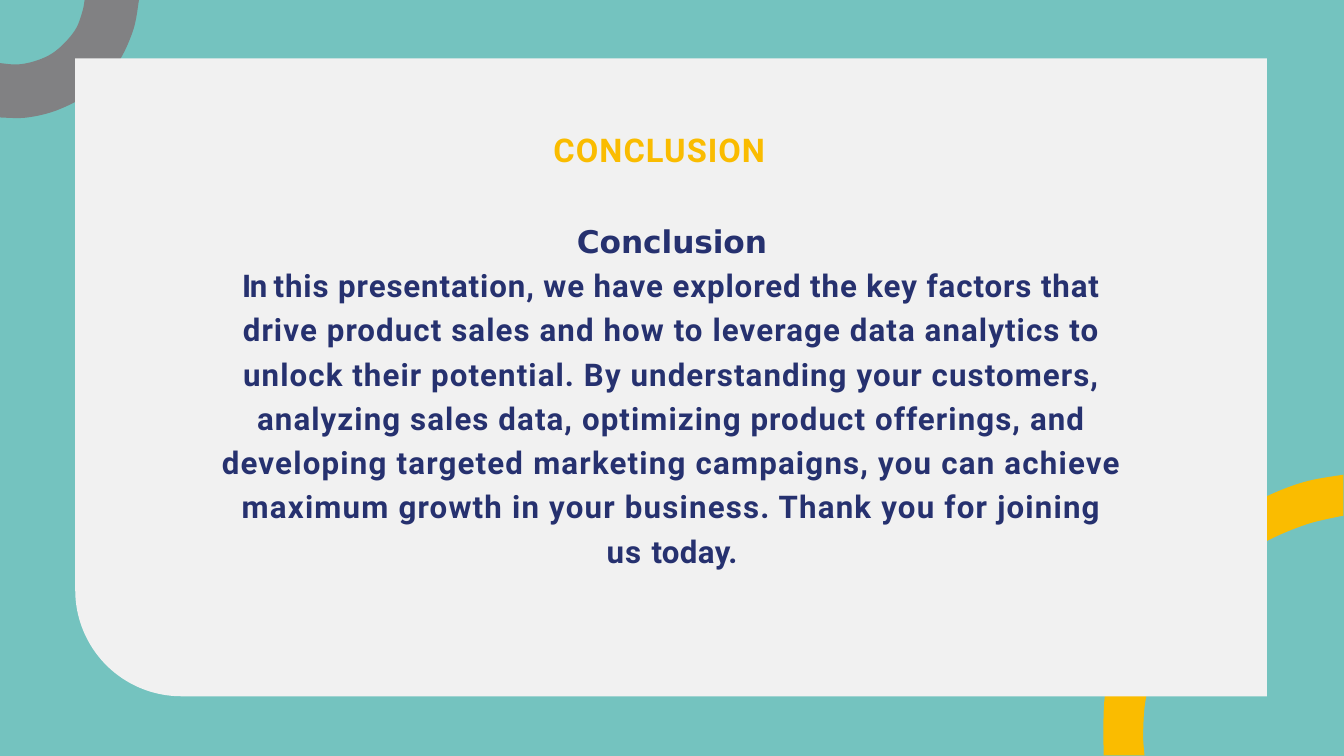
from pptx import Presentation
from pptx import util as u
from pptx.dml.color import RGBColor
from pptx.enum import shapes, text

PX = 9144  # EMU per px, 100 px to the inch
TEAL, GRAY, YELLOW, PANEL, NAVY = "74C3BF", "818183", "FABC00", "F1F1F1", "26316F"

YELLOW_OUTER = [(1643, 1125), (1645, 1036), (1664, 965), (1701, 893), (1749, 833),
                (1810, 781), (1880, 742), (1941, 718), (2000, 707)]
YELLOW_INNER = [(2000, 768), (1945, 781), (1884, 807), (1825, 845), (1775, 894),
                (1735, 955), (1708, 1031), (1702, 1089), (1704, 1125)]
GRAY_OUTER = [(207, 0), (198, 46), (174, 96), (135, 137), (88, 163), (41, 175), (0, 175)]
GRAY_INNER = [(0, 94), (26, 96), (52, 91), (77, 80), (98, 62), (114, 41), (123, 16), (126, 0)]

# Each phrase with its letter spacing in points
SUMMARY = [
    ("In ", -1.6),
    ("this presentation, we have explored the key factors that ", 1),
    ("drive product sales and how to leverage data analytics to ", 1.2),
    ("unlock their potential. By understanding your customers, ", 1.2),
    ("analyzing sales data, optimizing product offerings, and ", 1.2),
    ("developing targeted marketing campaigns, you can achieve ", 1.3),
    ("maximum growth in your business. Thank you for joining us ", 1.3),
    ("today.", 0.4),
]


def color(value):
    return RGBColor.from_string(value)


def paint(shape, fill):
    shape.shadow.inherit = False
    shape.fill.solid()
    shape.fill.fore_color.rgb = color(fill)
    shape.line.fill.background()


def smooth(points, steps=8):
    """Return EMU points of a Catmull-Rom curve through the px points."""
    padded = [points[0], *points, points[-1]]
    curve = []
    for a, b, c, d in zip(padded, padded[1:], padded[2:], padded[3:]):
        for step in range(steps):
            t = step / steps
            curve.append(tuple(
                PX / 2 * (2 * q + (r - p) * t + (2 * p - 5 * q + 4 * r - s) * t ** 2
                          + (3 * q - p - 3 * r + s) * t ** 3)
                for p, q, r, s in zip(a, b, c, d)))
    return curve + [tuple(PX * v for v in points[-1])]


def add_ring(slide, outer, inner, fill):
    outline = smooth(outer) + smooth(inner)
    builder = slide.shapes.build_freeform(*outline[0])
    builder.add_line_segments(outline[1:], close=True)
    paint(builder.convert_to_shape(), fill)


def add_panel(slide, left, top, width, height, radius):
    panel = slide.shapes.add_shape(
        shapes.MSO_SHAPE.ROUND_1_RECTANGLE, *(PX * v for v in (left, top, width, height)))
    panel.adjustments[0] = radius / min(width, height)
    panel.rotation = 180  # puts the rounded corner at the bottom left
    paint(panel, PANEL)


def place(box, left, top, width, height, inset):
    """Position a text-bearing shape and set up its frame."""
    box.left, box.top, box.width, box.height = (PX * v for v in (left, top, width, height))
    frame = box.text_frame
    frame.word_wrap = True
    frame.auto_size = text.MSO_AUTO_SIZE.NONE
    frame.vertical_anchor = text.MSO_ANCHOR.TOP
    frame.margin_left = frame.margin_right = frame.margin_bottom = 0
    frame.margin_top = PX * inset
    return frame


def write(paragraph, words, *, size=33.5, font="Roboto", fill=NAVY, spacing=0.0):
    run = paragraph.add_run()
    run.text = words
    run.font.size = u.Pt(size)
    run.font.name = font
    run.font.bold = True
    run.font.color.rgb = color(fill)
    run.font._element.set("spc", str(round(spacing * 100)))


def add_title(slide):
    title = slide.shapes.title
    heading = place(title, 824, 191, 351, 62, 2).paragraphs[0]
    heading.alignment = text.PP_ALIGN.LEFT
    heading.space_before = u.Pt(1.2)
    write(heading, "CONCLUSION", size=35, fill=YELLOW, spacing=1.1)
    slide.shapes._spTree.append(title._element)  # bring in front of the panel


def add_summary(slide):
    frame = place(slide.shapes.add_textbox(0, 0, 0, 0), 330, 320, 1341, 528, 11)
    subheading, summary = frame.paragraphs[0], frame.add_paragraph()
    subheading.alignment = summary.alignment = text.PP_ALIGN.CENTER
    subheading.space_before = u.Pt(8)
    summary.line_spacing = 1.18
    write(subheading, "Conclusion", font="DejaVu Sans", spacing=-0.1)
    for phrase, spacing in SUMMARY:
        write(summary, phrase, spacing=spacing)


def main():
    deck = Presentation()
    deck.slide_width, deck.slide_height = 2001 * PX, 1126 * PX
    slide = deck.slides.add_slide(deck.slide_layouts.get_by_name("Title Only"))
    slide.background.fill.solid()
    slide.background.fill.fore_color.rgb = color(TEAL)
    add_ring(slide, YELLOW_OUTER, YELLOW_INNER, YELLOW)
    add_ring(slide, GRAY_OUTER, GRAY_INNER, GRAY)
    add_panel(slide, 112, 87, 1774, 950, 158)
    add_summary(slide)
    add_title(slide)
    deck.save("out.pptx")


if __name__ == "__main__":
    main()
